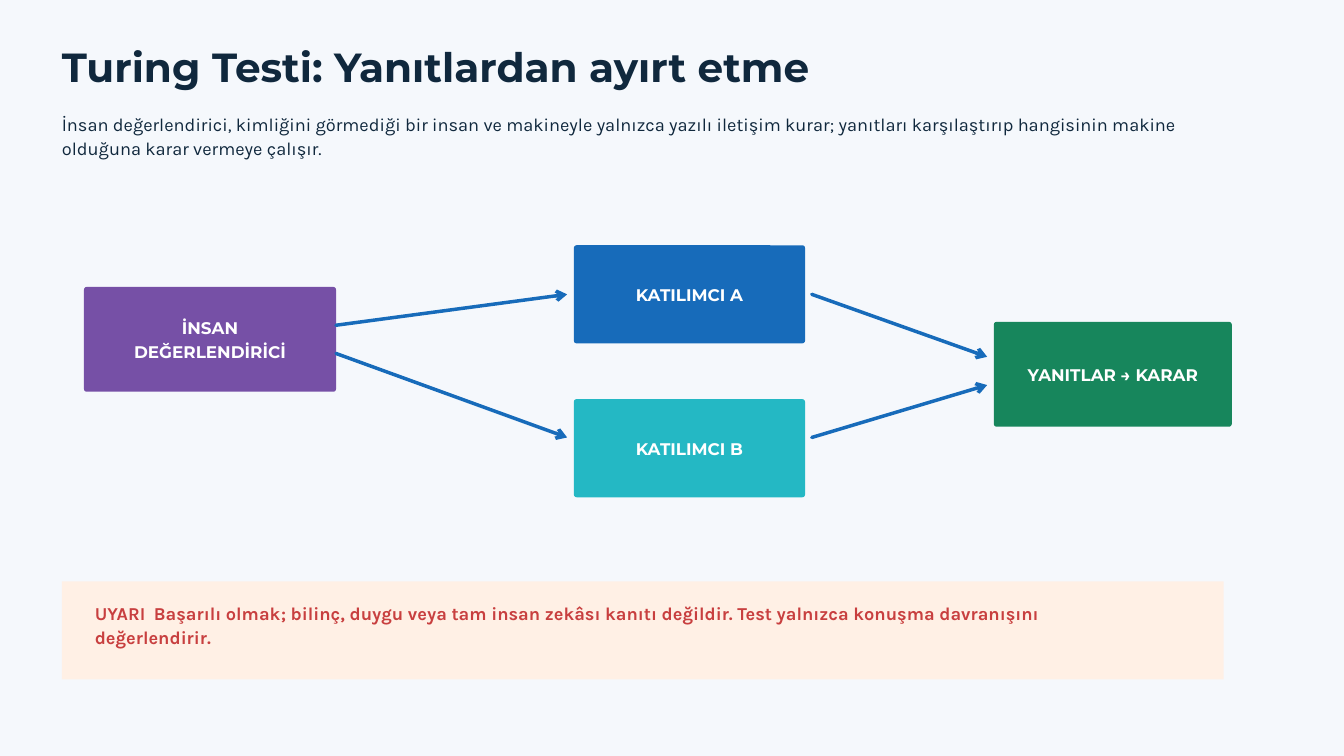
from lxml import etree
from pptx import Presentation
from pptx.dml.color import RGBColor
from pptx.enum.shapes import MSO_CONNECTOR, MSO_SHAPE
from pptx.enum.text import MSO_ANCHOR, MSO_AUTO_SIZE, PP_ALIGN
from pptx.oxml.ns import qn
from pptx.util import Inches, Pt

ROUNDED = MSO_SHAPE.ROUNDED_RECTANGLE
RECTANGLE = MSO_SHAPE.RECTANGLE
STRAIGHT = MSO_CONNECTOR.STRAIGHT
TOP, MIDDLE = MSO_ANCHOR.TOP, MSO_ANCHOR.MIDDLE
NO_AUTOFIT = MSO_AUTO_SIZE.NONE
LEFT, CENTER = PP_ALIGN.LEFT, PP_ALIGN.CENTER

HEADING, BODY = "Montserrat", "Karla"
NAVY, BLUE, WHITE = "10283D", "176BBA", "FFFFFF"


def color(value):
    return RGBColor.from_string(value)


def set_text(sp, lines, font, size, fill, spacing, bold=False, align=LEFT,
             anchor=TOP, insets=(0, 0, 0, 0), tab=None):
    tf = sp.text_frame
    tf.word_wrap = True
    tf.auto_size = NO_AUTOFIT
    tf.vertical_anchor = anchor
    tf.margin_left, tf.margin_top, tf.margin_right, tf.margin_bottom = map(Inches, insets)
    for i, line in enumerate(lines):
        p = tf.add_paragraph() if i else tf.paragraphs[0]
        p.text = line
        if tab:
            tabs = etree.SubElement(p._p.get_or_add_pPr(), qn("a:tabLst"))
            etree.SubElement(tabs, qn("a:tab"), pos=str(Inches(tab)), algn="l")
        p.alignment = align
        p.line_spacing = Pt(spacing)
        p.space_before = Pt(0)
        p.font.name = font
        p.font.size = Pt(size)
        p.font.bold = bold
        p.font.color.rgb = color(fill)


def add_title(s, text):
    sp = s.shapes.title
    sp.left, sp.top, sp.width, sp.height = map(Inches, (0.92, 0.72, 15.62, 0.64))
    set_text(sp, [text], HEADING, 43.5, NAVY, 45.7, bold=True)


def add_panel(s, kind, box, fill):
    sp = s.shapes.add_shape(kind, *map(Inches, box))
    sp.shadow.inherit = False
    sp.fill.solid()
    sp.fill.fore_color.rgb = color(fill)
    sp.line.fill.background()
    return sp


def add_node(s, box, fill, lines):
    sp = add_panel(s, ROUNDED, box, fill)
    sp.adjustments[0] = 0.04 / box[3]
    set_text(sp, lines, HEADING, 18, WHITE, 25.2, bold=True, align=CENTER,
             anchor=MIDDLE, insets=(0.06, 0.06, 0.06, 0.09))


def add_arrow(s, start, end):
    c = s.shapes.add_connector(STRAIGHT, *map(Inches, start + end))
    c.line.color.rgb = color(BLUE)
    c.line.width = Pt(3.75)
    ln = c.line._get_or_add_ln()
    ln.set("cap", "rnd")
    etree.SubElement(ln, qn("a:tailEnd"), type="arrow")
    etree.SubElement(c._element.spPr, qn("a:effectLst"))


def main():
    prs = Presentation()
    prs.slide_width, prs.slide_height = Inches(20), Inches(11.25)
    s = prs.slides.add_slide(prs.slide_layouts[5])
    s.background.fill.solid()
    s.background.fill.fore_color.rgb = color("F5F8FC")

    add_title(s, "Turing Testi: Yanıtlardan ayırt etme")
    intro = s.shapes.add_textbox(*map(Inches, (0.92, 1.65, 17.19, 0.7)))
    set_text(intro, ["İnsan değerlendirici, kimliğini görmediği bir insan ve makineyle "
                     "yalnızca yazılı iletişim kurar; yanıtları karşılaştırıp hangisinin "
                     "makine olduğuna karar vermeye çalışır."], BODY, 19.5, NAVY, 25.7)

    nodes = [
        ((1.25, 4.27, 3.75, 1.56), "7650A6", ["İNSAN", "DEĞERLENDİRİCİ"]),
        ((8.54, 3.65, 3.44, 1.46), BLUE, ["KATILIMCI A"]),
        ((8.54, 5.94, 3.44, 1.46), "24B8C4", ["KATILIMCI B"]),
        ((14.79, 4.79, 3.54, 1.56), "17865C", ["YANITLAR → KARAR"]),
    ]
    for box, fill, lines in nodes:
        add_node(s, box, fill, lines)

    for y, judge_y, verdict_y in [(4.38, 4.84, 5.31), (6.51, 5.26, 5.73)]:
        add_arrow(s, (5, judge_y), (8.44, y))
        add_arrow(s, (12.08, y), (14.69, verdict_y))

    warning = add_panel(s, RECTANGLE, (0.92, 8.65, 17.29, 1.46), "FFF0E5")
    set_text(warning, ["UYARI\tBaşarılı olmak; bilinç, duygu veya tam insan zekâsı kanıtı "
                       "değildir. Test yalnızca konuşma davranışını değerlendirir."],
             BODY, 19.5, "C83F3F", 25.4, bold=True, insets=(0.49, 0.29, 0.97, 0), tab=0.88)

    prs.save("out.pptx")


if __name__ == "__main__":
    main()
